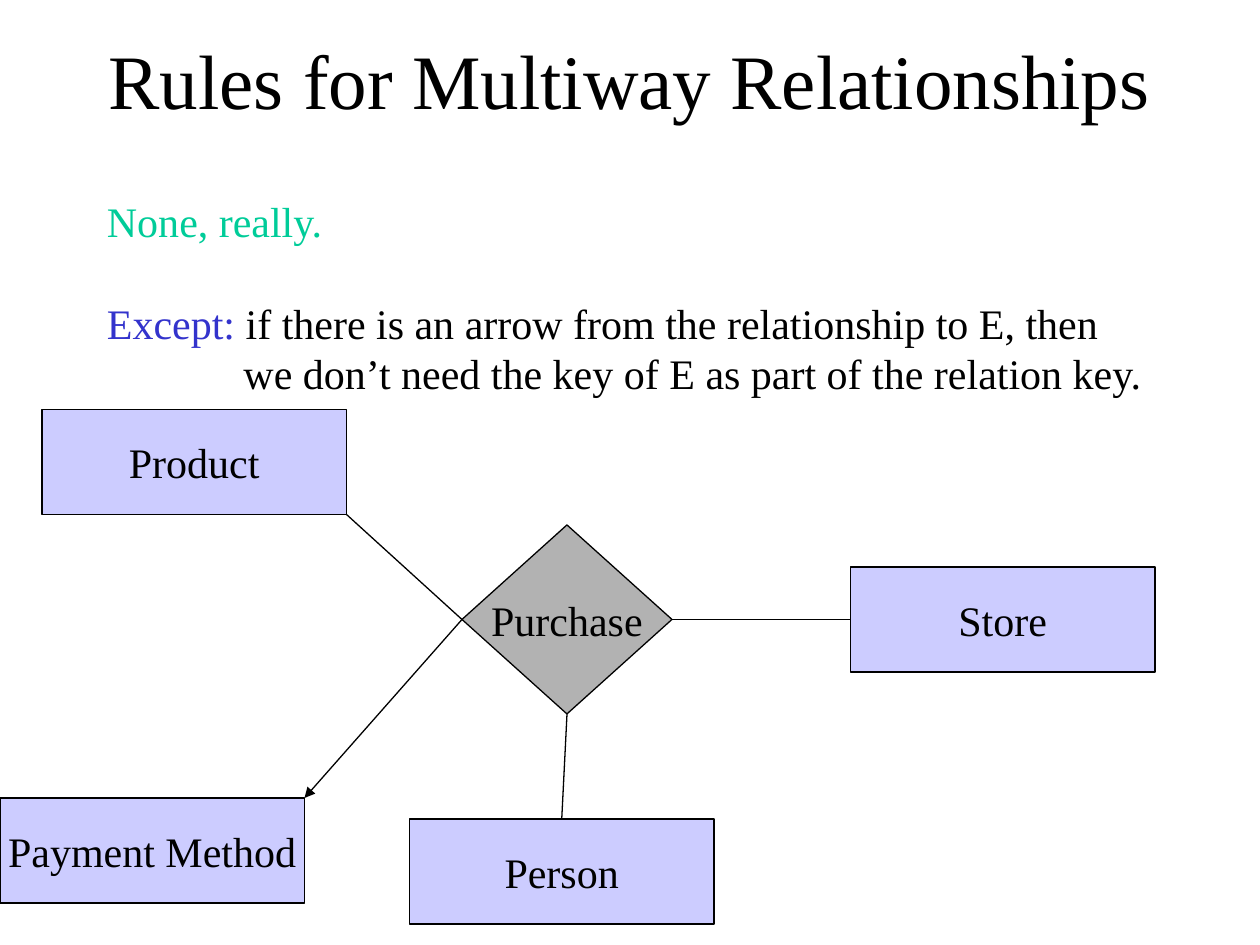
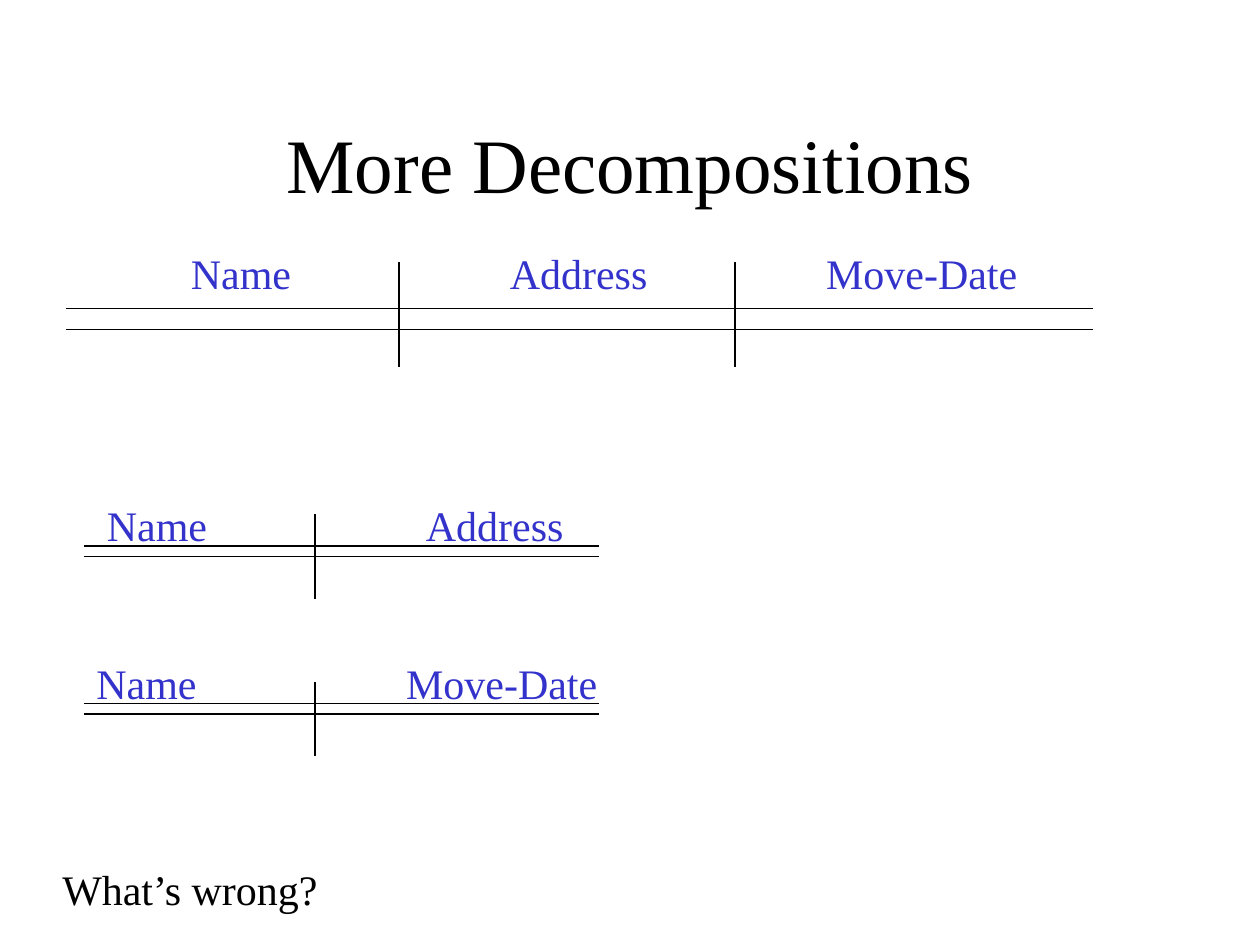
from dataclasses import dataclass

from lxml.etree import SubElement
from pptx import Presentation
from pptx.dml.color import RGBColor
from pptx.enum.shapes import MSO_CONNECTOR as Connector, MSO_SHAPE as Preset
from pptx.enum.text import MSO_ANCHOR as Anchor, PP_ALIGN as Align
from pptx.oxml.ns import qn
from pptx.util import Emu, Pt

PX = 9525
FONT = "Times New Roman"
BODY_SIZE = 24
TITLE_SIZE = 44
LINE_PITCH = 29
COLORS = {
    "ink": "000000",
    "key": "3333CC",
    "answer": "00CC99",
    "entity": "CCCCFF",
    "relationship": "B2B2B2",
}


@dataclass(frozen=True)
class Node:
    label: str
    left: int
    top: int
    width: int = 232
    height: int = 80
    preset: Preset = Preset.RECTANGLE
    fill: str = "entity"


@dataclass(frozen=True)
class Link:
    start: tuple[int, int]
    end: tuple[int, int]
    source: tuple[str, int] | None = None
    target: tuple[str, int] | None = None
    arrow: bool = False


@dataclass(frozen=True)
class Relation:
    attributes: tuple[str, ...]
    header: tuple[int, int, int]
    tabs: tuple[int, ...]
    left: int
    right: int
    rules: tuple[int, int]
    dividers: tuple[int, ...]
    top: int
    bottom: int


NODES = (
    Node("Purchase", 352, 400, 160, 144, Preset.DIAMOND, "relationship"),
    Node("Product", 32, 312),
    Node("Person", 312, 624),
    Node("Store", 648, 432),
    Node("Payment Method", 0, 608),
)
LINKS = (
    Link((512, 472), (648, 472), ("Purchase", 3), ("Store", 1)),
    Link((432, 544), (432, 624), ("Purchase", 2), ("Person", 0)),
    Link((264, 392), (352, 472), target=("Purchase", 1)),
    Link((352, 472), (232, 608), source=("Purchase", 1), arrow=True),
)
RELATIONS = (
    Relation(("Name", "Address", "Move-Date"), (136, 184, 650), (243, 484),
             50, 833, (235, 251), (304, 560), 200, 280),
    Relation(("Name", "Address"), (72, 376, 400), (243,),
             64, 456, (416, 424), (240,), 392, 456),
    Relation(("Name", "Move-Date"), (64, 496, 650), (236,),
             64, 456, (536, 544), (240,), 520, 576),
)


def px(length: int) -> Emu:
    return Emu(length * PX)


def color(name: str) -> RGBColor:
    return RGBColor.from_string(COLORS[name])


def style_span(span, name: str = "ink", size: int = BODY_SIZE) -> None:
    span.font.name = FONT
    span.font.size = Pt(size)
    span.font.color.rgb = color(name)


def add_box(page, left: int, top: int, width: int, height: int):
    box = page.shapes.add_textbox(px(left), px(top), px(width), px(height))
    box.text_frame.word_wrap = True
    return box


def add_title(page, text: str, top: int) -> None:
    frame = add_box(page, 72, top, 816, 120).text_frame
    frame.vertical_anchor = Anchor.MIDDLE
    frame.text = text
    para = frame.paragraphs[0]
    para.alignment = Align.CENTER
    style_span(para.runs[0], size=TITLE_SIZE)


def add_body(page, text: str, left: int, top: int, width: int, name: str = "ink"):
    frame = add_box(page, left, top, width, 48).text_frame
    frame.text = text
    for para in frame.paragraphs:
        para.line_spacing = Pt(LINE_PITCH)
        for span in para.runs:
            style_span(span, name)
    return frame


def add_line(page, start: tuple[int, int], end: tuple[int, int]):
    line = page.shapes.add_connector(
        Connector.STRAIGHT, *(px(length) for length in start + end))
    line.line.color.rgb = color("ink")
    line.line.width = Pt(0.75)
    SubElement(line._element.spPr, qn("a:effectLst"))
    return line


def add_node(page, node: Node):
    shape = page.shapes.add_shape(
        node.preset, px(node.left), px(node.top), px(node.width), px(node.height))
    shape.shadow.inherit = False
    shape.fill.solid()
    shape.fill.fore_color.rgb = color(node.fill)
    shape.line.color.rgb = color("ink")
    shape.line.width = Pt(0.75)
    frame = shape.text_frame
    frame.word_wrap = False
    frame.vertical_anchor = Anchor.MIDDLE
    frame.text = node.label
    frame.paragraphs[0].alignment = Align.CENTER
    style_span(frame.paragraphs[0].runs[0])
    return shape


def add_link(page, link: Link, shapes: dict) -> None:
    line = add_line(page, link.start, link.end)
    if link.source:
        label, side = link.source
        line.begin_connect(shapes[label], side)
    if link.target:
        label, side = link.target
        line.end_connect(shapes[label], side)
    if link.arrow:
        SubElement(line.line._get_or_add_ln(), qn("a:tailEnd"), type="triangle")


def add_relation(page, relation: Relation) -> None:
    frame = add_body(page, "\t".join(relation.attributes), *relation.header, "key")
    properties = frame.paragraphs[0]._p.get_or_add_pPr()
    stops = SubElement(properties, qn("a:tabLst"))
    for position in relation.tabs:
        SubElement(stops, qn("a:tab"), pos=str(px(position)), algn="l")
    for y in relation.rules:
        add_line(page, (relation.left, y), (relation.right, y))
    for x in relation.dividers:
        add_line(page, (x, relation.top), (x, relation.bottom))


def build_multiway(page) -> None:
    add_title(page, "Rules for Multiway Relationships", 0)
    frame = add_body(
        page,
        "None, really.\n"
        "Except:\n"
        "we don’t need the key of E as part of the relation key.",
        72, 144, 840)
    answer, exception, remainder = frame.paragraphs
    style_span(answer.runs[0], "answer")
    style_span(exception.runs[0], "key")
    exception.space_before = Pt(LINE_PITCH)
    condition = exception.add_run()
    condition.text = " if there is an arrow from the relationship to E, then"
    style_span(condition)
    remainder._p.get_or_add_pPr().set("marL", str(px(104)))
    shapes = {node.label: add_node(page, node) for node in NODES}
    for link in LINKS:
        add_link(page, link, shapes)


def build_decompositions(page) -> None:
    add_title(page, "More Decompositions", 64)
    for relation in RELATIONS:
        add_relation(page, relation)
    add_body(page, "What’s wrong?", 38, 653, 224)


def main() -> None:
    deck = Presentation()
    deck.slide_width, deck.slide_height = px(960), px(720)
    for build in (build_multiway, build_decompositions):
        build(deck.slides.add_slide(deck.slide_layouts[6]))
    deck.save("out.pptx")


if __name__ == "__main__":
    main()
